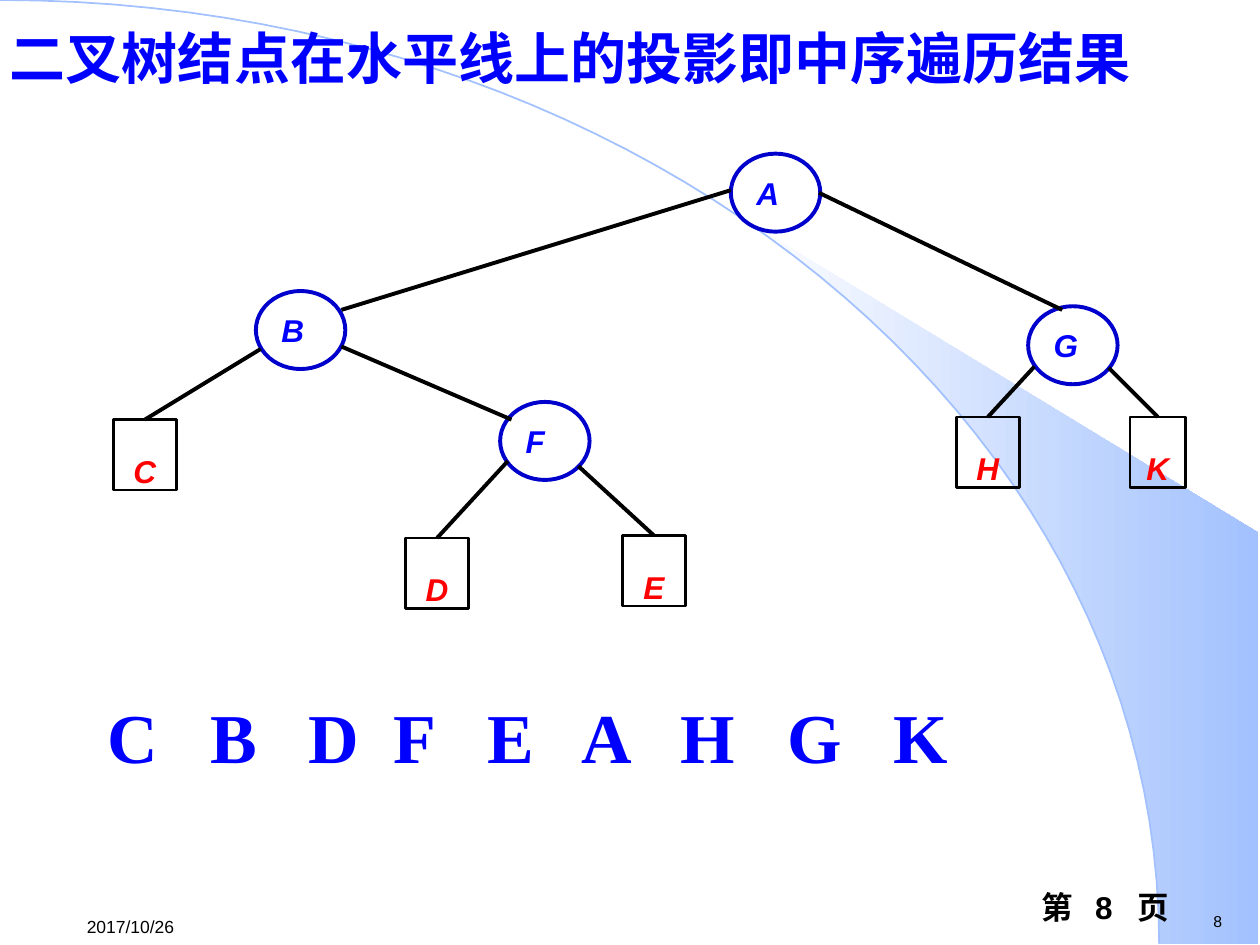
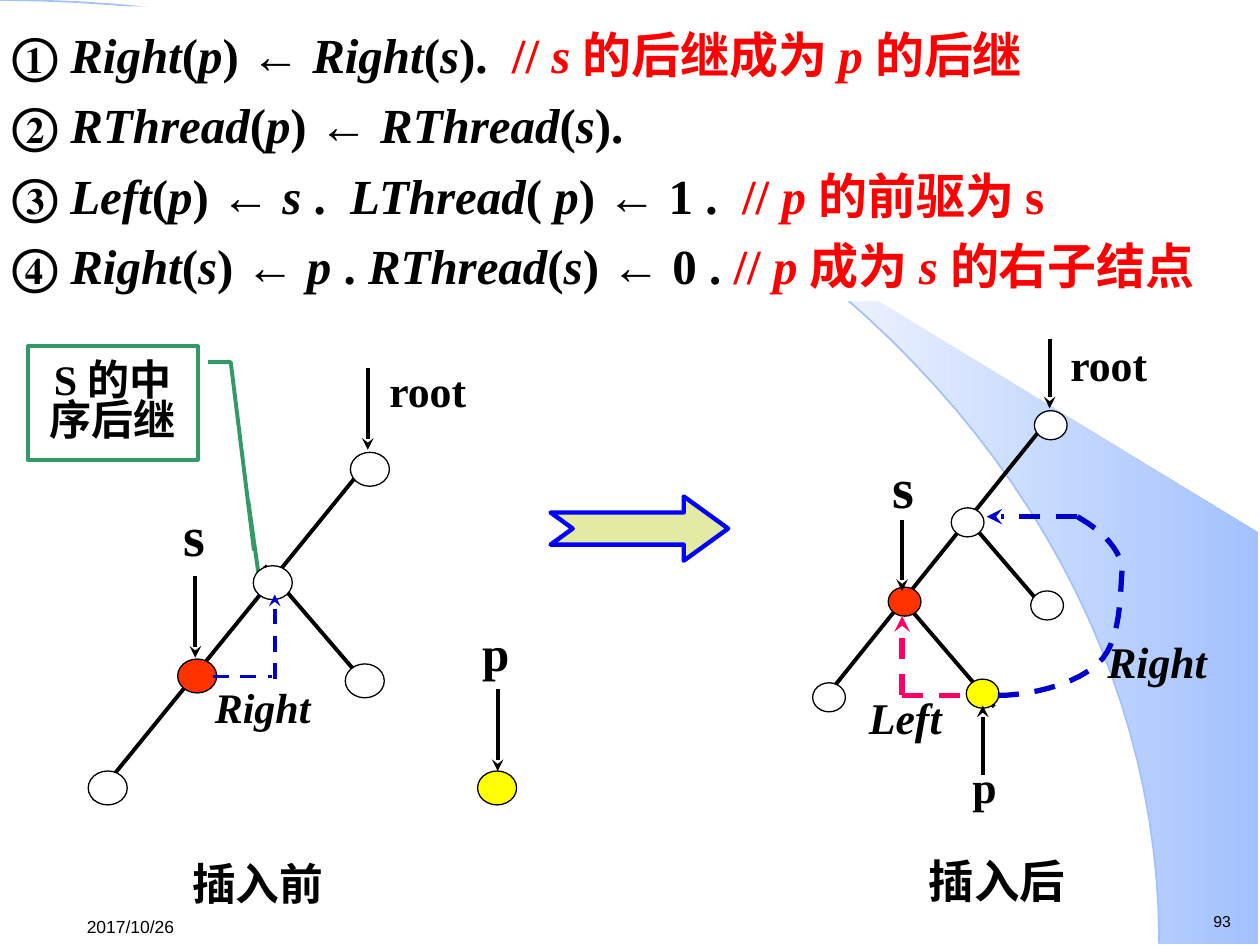
from lxml.etree import SubElement as Sub
from pptx import Presentation
from pptx.dml.color import RGBColor as Rgb
from pptx.enum.dml import MSO_LINE_DASH_STYLE as Dash
from pptx.enum.shapes import MSO_CONNECTOR as Conn, MSO_SHAPE as Kind
from pptx.enum.text import MSO_ANCHOR as Anchor, PP_ALIGN as Align
from pptx.oxml.ns import qn
from pptx.util import Pt

WHITE, BLACK, RED, BLUE, SKY = "FFFFFF", "000000", "FF0000", "0000FF", "A2C1FE"
NAVY, PINK, GREEN = "0000CC", "FF0066", "339966"
SERIF, SANS = "Times New Roman", "Arial"
DATE = "2017/10/26"
ARC = [(0, 0), (365.8, 0), (662.4, 241.2), (662.4, 539.3)]

TITLE = "二叉树结点在水平线上的投影即中序遍历结果"
KNOTS = {"A": (417.6, 87.8), "B": (146.2, 166.3), "F": (285.8, 229.7), "G": (587.5, 175)}
LEAVES = {"C": (64.8, 239.8, 36), "D": (231.8, 307.4, 36), "E": (355.7, 306, 36),
          "H": (546.5, 238.3, 36), "K": (645.8, 238.3, 31.7)}
LIMBS = [(468, 110.2, 607, 177.1), (417.6, 108.7, 195.1, 177.1), (195.1, 198, 292.3, 239.8)]
TWIGS = {"C": (149, 199.4), "D": (290.2, 263.5), "E": (330.5, 266.4),
         "H": (591.1, 209.5), "K": (633.6, 210.2)}
ORDER = "CBDFEAHGK"
STOPS = [58.5, 115, 163.5, 217, 271, 327.5, 388.5, 449]

STEPS = [
    "① *Right*(*p*) ← *Right*(*s*).\t|// *s *的后继成为 *p *的后继",
    "② *RThread*(*p*) ← *RThread*(*s*).",
    "③ *Left*(*p*) ← *s* .\t*LThread*( *p*) ← 1 .\t|// *p *的前驱为 s",
    "④ *Right*(*s*) ← *p* . *RThread*(*s*) ← 0 . |// *p *成为 *s *的右子结点",
]
TABS = [[285.5], [], [193, 417], []]

TREES = [
    {"size": (22.3, 19.4),
     "edges": [(205.9, 269.3, 53.3, 457.2), (151.2, 323.3, 211.7, 393.8)],
     "nodes": [(197.3, 379.4, WHITE), (50.4, 440.6, WHITE), (101.5, 376.6, "FF3300"),
               (144.7, 323.3, WHITE), (200.2, 258.5, WHITE), (272.9, 440.6, "FFFF00")],
     "heads": [(284.4, 393.8, 440.6), (210.2, 210.2, 257), (111.6, 329, 375.8)]},
    {"size": (18.7, 16.6),
     "edges": [(516.2, 343.4, 568.1, 403.9), (596.2, 243.4, 467.3, 403.9),
               (548.6, 291.6, 600.5, 352.1)],
     "nodes": [(589, 337.7, WHITE), (464.4, 390.2, WHITE), (507.6, 335.5, "FF3300"),
               (543.6, 290.2, WHITE), (591.1, 234.7, WHITE), (552.2, 388.1, "FFFF00")],
     "heads": [(599.8, 193.7, 233.3), (515.5, 297.4, 337.7), (561.6, 442.8, 403.2)]},
]
THREADS = [
    (157, 388.1, 157, 339.8, NAVY, 2.25, True),
    (121.7, 386.6, 155.5, 386.6, NAVY, 2.25, False),
    (615.6, 295.2, 563.8, 295.2, NAVY, 3, True),
    (515.5, 397.4, 515.5, 352.1, PINK, 3, True),
    (515.5, 397.4, 552.2, 397.4, PINK, 3, False),
]
LOOP = [(615.6, 295.2), (627.8, 302.4), (636.5, 309.6), (641.5, 322.6), (640.1, 337),
        (640.8, 357.8), (632.9, 372.2), (623.5, 389.5), (590.4, 397.4), (570.2, 397.4)]
LABELS = [
    ("*Right*", 118.8, 393.8, 62.6, 25.2, 24, 0.85),
    ("s", 80.6, 285.8, 61.2, 46.8, 32, 1.0),
    ("p", 269.3, 362.2, 28.1, 25.9, 28, 0.8),
    ("root", 217.4, 213.8, 54, 23, 25, 0.8),
    ("root", 606.2, 198.7, 54.7, 22.3, 25, 0.8),
    ("p", 548.6, 439.9, 28.1, 28.1, 25, 0.8),
    ("*Right*", 632.2, 367.2, 58, 27.4, 25, 0.85),
    ("*Left*", 496.1, 399.6, 42.5, 25.2, 25, 0.85),
    ("s", 490.3, 258.5, 51.8, 40.3, 32, 1.0),
]
NOTES = [("插入前", 25.2, 491.8, 244.1, 31, 25, 0.95),
         ("插入后", 505.4, 491, 128.9, 31, 26, 0.9)]


def hue(code):
    return Rgb.from_string(code)


def pen(line, color, width, dash=False):
    line.color.rgb = hue(color)
    line.width = Pt(width)
    if dash:
        line.dash_style = Dash.DASH


def dress(part, fill=None, line=None, width=1):
    if fill:
        part.fill.solid()
        part.fill.fore_color.rgb = hue(fill)
    else:
        part.fill.background()
    if line:
        pen(part.line, line, width)
    else:
        part.line.fill.background()
    part.shadow.inherit = False
    return part


def shape(page, kind, x, y, w, h, **look):
    return dress(page.shapes.add_shape(kind, Pt(x), Pt(y), Pt(w), Pt(h)), **look)


def label(page, text, x, y, w, h, **form):
    return write(page.shapes.add_textbox(Pt(x), Pt(y), Pt(w), Pt(h)), text, **form)


def write(part, text, size=18, font=SERIF, color=BLACK, bold=True, align=Align.LEFT,
          anchor=Anchor.TOP, pad=None, wrap=True, gap=None, tabs=()):
    frame = part.text_frame
    frame.word_wrap = wrap
    frame.vertical_anchor = anchor
    if pad is not None:
        frame.margin_left = frame.margin_right = Pt(pad)
        frame.margin_top = frame.margin_bottom = Pt(pad)
    for i, row in enumerate(text.split("\n")):
        para = frame.add_paragraph() if i else frame.paragraphs[0]
        para.alignment = align
        if gap:
            para.line_spacing = gap
        if i < len(tabs) and tabs[i]:
            tray = Sub(para._p.get_or_add_pPr(), qn("a:tabLst"))
            for stop in tabs[i]:
                Sub(tray, qn("a:tab"), pos=str(Pt(stop)), algn="l")
        for j, half in enumerate(row.split("|")):
            for k, bit in enumerate(half.split("*")):
                if not bit:
                    continue
                run = para.add_run()
                run.text = bit
                run.font.size = Pt(size)
                run.font.name = font
                run.font.bold = bold
                run.font.italic = k % 2 == 1
                run.font.color.rgb = hue(RED if j else color)
    return part


def link(page, x, y, x2, y2, color=BLACK, width=2.25, dash=False, head=False):
    wire = page.shapes.add_connector(Conn.STRAIGHT, Pt(x), Pt(y), Pt(x2), Pt(y2))
    pen(wire.line, color, width, dash)
    props = wire._element.spPr
    if head:
        Sub(props.find(qn("a:ln")), qn("a:tailEnd"), type="stealth")
    Sub(props, qn("a:effectLst"))
    return wire


def bend(pts, count):
    out = [pts[0]]
    for k in range(0, len(pts) - 1, 3):
        for n in range(1, count + 1):
            t = n / count
            mix = ((1 - t) ** 3, 3 * t * (1 - t) ** 2, 3 * t * t * (1 - t), t ** 3)
            out.append(tuple(sum(m * p[a] for m, p in zip(mix, pts[k:k + 4])) for a in (0, 1)))
    return out


def trace(page, pts, close=False, **look):
    pts = [(Pt(x), Pt(y)) for x, y in pts]
    path = page.shapes.build_freeform(*pts[0])
    path.add_line_segments(pts[1:], close=close)
    return dress(path.convert_to_shape(), **look)


def start(deck, number):
    page = deck.slides.add_slide(deck.slide_layouts[6])
    arc = bend(ARC, 50)
    band = trace(page, arc[22:] + [(719.3, 539.3), (719.3, 304.6)], close=True)
    band.fill.gradient()
    band.fill.gradient_angle = 0
    for stop, color in zip(band.fill.gradient_stops, (WHITE, SKY)):
        stop.color.rgb = hue(color)
    trace(page, arc, line=SKY, width=1)
    label(page, number, 686.2, 517.7, 25.2, 18, size=9, font=SANS, bold=False, wrap=False)
    label(page, DATE, 42.5, 518.4, 73.4, 21.6, size=10, font=SANS, bold=False,
          anchor=Anchor.MIDDLE, wrap=False)
    return page


def project(deck):
    page = start(deck, "8")
    label(page, "第\t8\t页", 588.2, 504, 131.8, 36, font=SANS, tabs=[[30.5, 54.5]])
    label(page, TITLE, -1.4, 13, 677.5, 42.5, size=32, font=SANS, color=BLUE, gap=Pt(35))
    for name, (x, y) in KNOTS.items():
        knot = shape(page, Kind.OVAL, x, y, 51.1, 44.6, line=NAVY, width=2.25)
        write(knot, f"*{name}*", font=SANS, color=BLUE, anchor=Anchor.MIDDLE, wrap=False)
    for limb in LIMBS:
        link(page, *limb)
    for name, (x, y, w) in LEAVES.items():
        leaf = shape(page, Kind.RECTANGLE, x, y, w, 40.3, line=BLACK, width=1.5)
        write(leaf, f"*{name}*", font=SANS, color=RED, align=Align.CENTER, pad=0, gap=Pt(40))
        link(page, *TWIGS[name], x + w / 2, y).end_connect(leaf, 0)
    label(page, "\t".join(ORDER), 54.5, 393, 640, 55, size=40, color=BLUE, tabs=[STOPS])


def insert(deck):
    page = start(deck, "93")
    mid = {"align": Align.CENTER, "pad": 0}
    call = shape(page, Kind.LINE_CALLOUT_2, 15.8, 198, 97.2, 64.8,
                 fill=WHITE, line=GREEN, width=2.25)
    for i, value in enumerate((0.138, 1.062, 0.138, 1.194, 1.8, 1.331)):
        call.adjustments[i] = value
    write(call, "S 的中\n序后继", size=24, anchor=Anchor.MIDDLE, gap=0.8, **mid)
    link(page, 141.8, 285.8, 149, 337, GREEN, head=True)
    for text, x, y, w, h, size, gap in NOTES:
        note = shape(page, Kind.RECTANGLE, x, y, w, h, fill=WHITE)
        write(note, text, size=size, gap=gap, **mid)
    for tree in TREES:
        for edge in tree["edges"]:
            link(page, *edge)
        for x, y, fill in tree["nodes"]:
            shape(page, Kind.OVAL, x, y, *tree["size"], fill=fill, line=BLACK, width=0.75)
        for x, top, end in tree["heads"]:
            link(page, x, top, x, end, head=True)
    for *ends, color, width, head in THREADS:
        link(page, *ends, color, width, dash=True, head=head)
    loop = trace(page, bend(LOOP, 12))
    pen(loop.line, NAVY, 3, True)
    for text, x, y, w, h, size, gap in LABELS:
        label(page, text, x, y, w, h, size=size, gap=gap, **mid)
    arrow = shape(page, Kind.NOTCHED_RIGHT_ARROW, 314.6, 283.7, 101.5, 36.7,
                  fill="E3EAA4", line=BLUE, width=2.5)
    arrow.adjustments[0], arrow.adjustments[1] = 0.5, 0.691
    panel = shape(page, Kind.RECTANGLE, 0, 3.6, 720, 168.5, fill=WHITE)
    write(panel, "\n".join(STEPS), size=28, gap=1.2, tabs=TABS)


def main():
    deck = Presentation()
    deck.slide_width, deck.slide_height = Pt(720), Pt(540)
    project(deck)
    insert(deck)
    deck.save("out.pptx")


if __name__ == "__main__":
    main()
